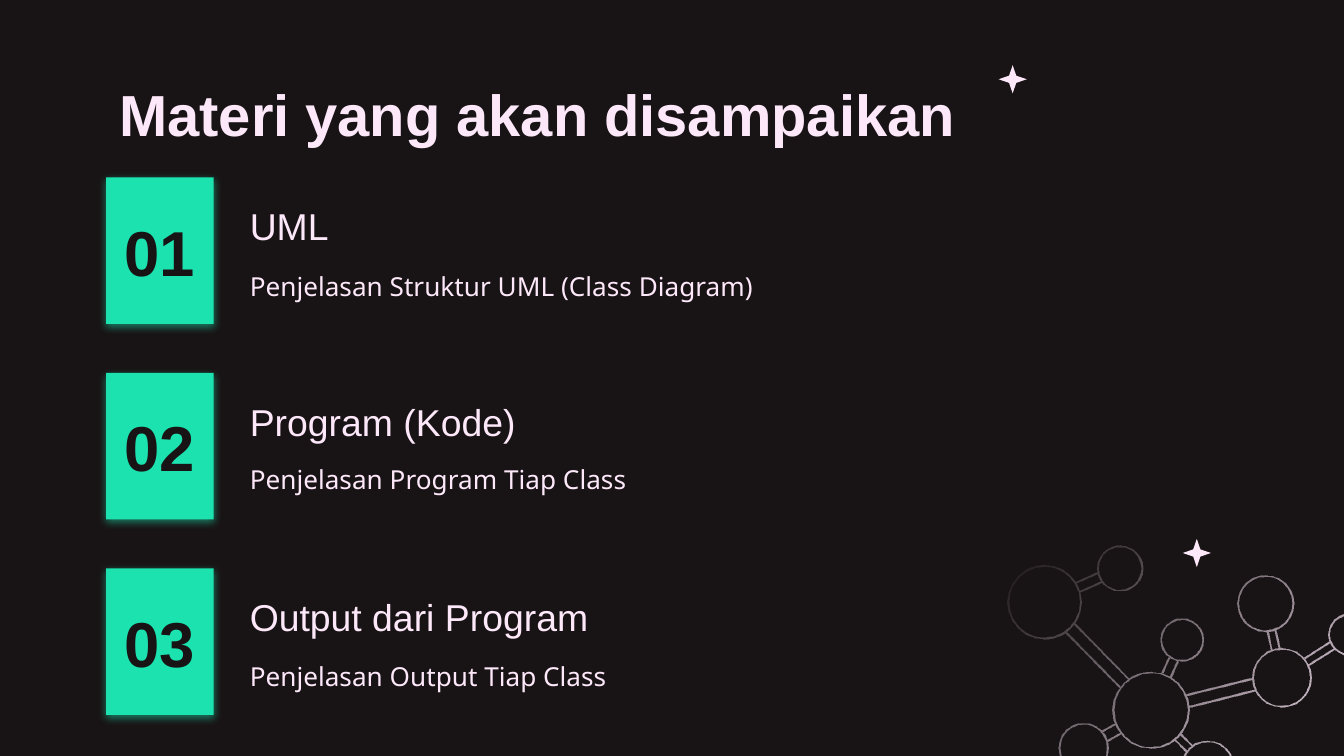
import math
import lxml.etree
import pptx
import pptx.dml.color
import pptx.enum.shapes
import pptx.enum.text
import pptx.oxml
import pptx.oxml.ns
import pptx.util

SHAPE = pptx.enum.shapes.MSO_SHAPE
ANCHOR = pptx.enum.text.MSO_ANCHOR
ALIGN = pptx.enum.text.PP_ALIGN
RGB = pptx.dml.color.RGBColor.from_string
qn = pptx.oxml.ns.qn

THEME = {
    "dark": "181314",
    "light": "FDE8FA",
    "accent": "1BE2AF",
    "title": {"name": "Arial", "size": 31, "bold": True, "color": "light"},
    "number": {"name": "Arial", "size": 34, "bold": True, "color": "dark"},
    "topic": {"name": "Arial", "size": 20, "bold": False, "color": "light"},
    "detail": {"name": "Noto Sans", "size": 14, "bold": False, "color": "light"},
}

prs = pptx.Presentation()
prs.slide_width = pptx.util.Inches(10)
prs.slide_height = prs.slide_width * 9 // 16
unit = prs.slide_width / 100
slide = prs.slides.add_slide(prs.slide_layouts[6])
slide.background.fill.solid()
slide.background.fill.fore_color.rgb = RGB(THEME["dark"])


def grid(*lengths):
    return [round(n * unit) for n in lengths]


def write(s, text, role, anchor=ANCHOR.TOP, align=ALIGN.LEFT, spacing=1.0):
    style = THEME[role]
    tf = s.text_frame
    frame = {"word_wrap": True, "vertical_anchor": anchor}
    for side in ("left", "top", "right", "bottom"):
        frame["margin_" + side] = round(unit)
    for key, value in frame.items():
        setattr(tf, key, value)
    p = tf.paragraphs[0]
    p.alignment = align
    p.line_spacing = spacing
    r = p.add_run()
    r.text = text
    font = {"name": style["name"], "size": pptx.util.Pt(style["size"]), "bold": style["bold"]}
    for key, value in font.items():
        setattr(r.font, key, value)
    r.font.color.rgb = RGB(THEME[style["color"]])


atoms = {
    "top": (83.3, 42.3, 1.65),
    "faint": (77.7, 44.8, 2.7),
    "upper": (94.1, 44.9, 2.05),
    "edge": (100.3, 47.2, 1.5),
    "small": (87.9, 47.6, 1.55),
    "right": (95.3, 50.4, 2.15),
    "core": (85.6, 52.8, 2.8),
    "lower": (80.6, 55.6, 1.8),
    "bottom": (89.8, 57, 1.9),
}
bonds = [
    ("faint", "top", 0.37), ("faint", "core", 0.45), ("small", "core", 0.35),
    ("core", "right", 0.45), ("upper", "right", 0.3), ("right", "edge", 0.3),
    ("core", "lower", 0.4), ("core", "bottom", 0.3),
]
half = 0.06
steps = 24

contours = []
for x, y, radius in atoms.values():
    for edge, turn in [(radius + half, 1), (radius - half, -1)]:
        angles = [turn * math.tau * i / steps for i in range(steps)]
        contours.append([grid(x + edge * math.cos(a), y + edge * math.sin(a)) for a in angles])

for start, end, gap in bonds:
    x1, y1, r1 = atoms[start]
    x2, y2, r2 = atoms[end]
    length = math.hypot(x2 - x1, y2 - y1)
    dx, dy = (x2 - x1) / length, (y2 - y1) / length
    near = math.sqrt((r1 + half) ** 2 - gap**2)
    far = length - math.sqrt((r2 + half) ** 2 - gap**2)
    for side in (-gap, gap):
        corners = [(near, side - half), (far, side - half), (far, side + half), (near, side + half)]
        contours.append([grid(x1 + dx * a - dy * b, y1 + dy * a + dx * b) for a, b in corners])

builder = slide.shapes.build_freeform(*contours[0][0])
builder.add_line_segments(contours[0][1:], close=True)
for points in contours[1:]:
    builder.move_to(*points[0])
    builder.add_line_segments(points[1:], close=True)
s = builder.convert_to_shape()
s.shadow.inherit = False
s.line.fill.background()
s.fill.gradient()
s.fill.gradient_angle = 315
for stop in s.fill.gradient_stops:
    stop.color.rgb = RGB(THEME["light"])
clear = s._element.spPr.find(".//" + qn("a:srgbClr"))
lxml.etree.SubElement(clear, qn("a:alpha"), val="0")

for left, top in [(74.3, 4.85), (88, 40.1)]:
    s = slide.shapes.add_shape(SHAPE.STAR_4_POINT, *grid(left, top, 2.1, 2.1))
    s.adjustments[0] = 0.18
    s.shadow.inherit = False
    s.fill.solid()
    s.fill.fore_color.rgb = RGB(THEME["light"])
    s.line.fill.background()

s = slide.shapes.add_textbox(*grid(7.9, 4.85, 84.3, 6.3))
write(s, "Materi yang akan disampaikan", "title")

topics = [
    ("UML", "Penjelasan Struktur UML (Class Diagram)", 5.6),
    ("Program (Kode)", "Penjelasan Program Tiap Class", 5.4),
    ("Output dari Program", "Penjelasan Output Tiap Class", 5.5),
]
for row, (topic, detail, drop) in enumerate(topics):
    top = 13.2 + 14.55 * row
    s = slide.shapes.add_shape(SHAPE.RECTANGLE, *grid(7.9, top, 8, 10.9))
    s.fill.solid()
    s.fill.fore_color.rgb = RGB(THEME["accent"])
    s.line.fill.background()
    s.shadow.inherit = False
    effects = s._element.spPr.find(qn("a:effectLst"))
    glow = lxml.etree.SubElement(
        effects, qn("a:outerShdw"), blurRad=str(pptx.util.Pt(4.5)),
        dist=str(pptx.util.Pt(1.5)), dir="5400000", algn="bl", rotWithShape="0",
    )
    color = lxml.etree.SubElement(glow, qn("a:srgbClr"), val=THEME["accent"])
    lxml.etree.SubElement(color, qn("a:alpha"), val="50000")
    write(s, f"{row + 1:02d}", "number", ANCHOR.MIDDLE, ALIGN.CENTER)

    s = slide.shapes.add_textbox(*grid(17.6, top, 48.9, 6.25))
    write(s, topic, "topic", ANCHOR.BOTTOM, spacing=1.15)
    s = slide.shapes.add_textbox(*grid(17.6, top + drop, 48.9, 4.6))
    write(s, detail, "detail", spacing=1.15)

prs.save("out.pptx")
